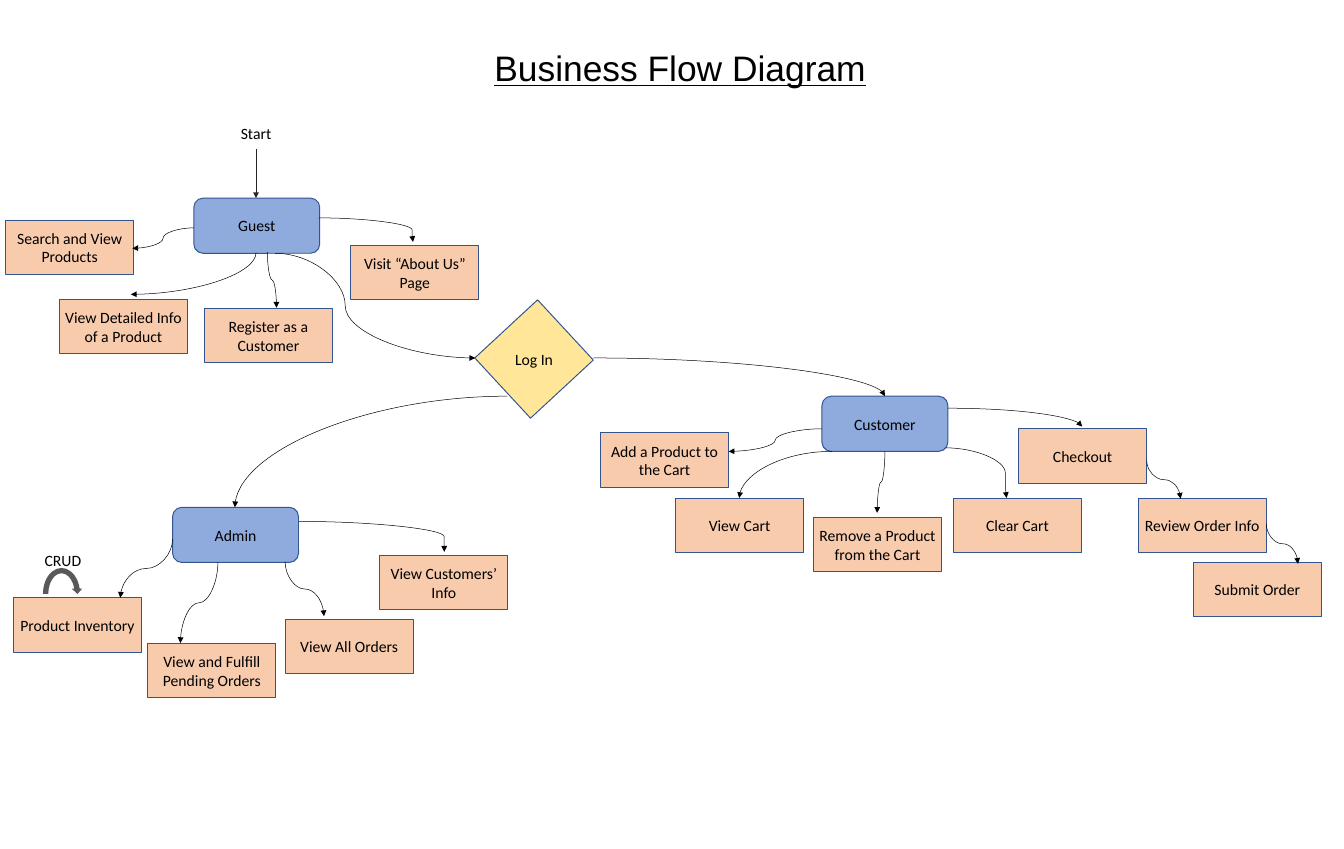
from lxml.etree import SubElement
from pptx import Presentation
from pptx.dml.color import RGBColor
from pptx.enum.shapes import MSO_CONNECTOR, MSO_SHAPE
from pptx.enum.text import MSO_ANCHOR, MSO_AUTO_SIZE, PP_ALIGN
from pptx.oxml.ns import qn
from pptx.util import Inches, Pt

COLS, ROWS = 19, 12
UNIT = Inches(1)

BLUE = RGBColor(0x8F, 0xAA, 0xDC)
PEACH = RGBColor(0xF8, 0xCB, 0xAD)
YELLOW = RGBColor(0xFF, 0xE6, 0x99)
EDGE = RGBColor(0x32, 0x54, 0x91)
GREY = RGBColor(0x59, 0x59, 0x59)
DARK = RGBColor(0x26, 0x26, 0x26)
BLACK = RGBColor(0, 0, 0)

ROLES = [
    ("Guest", 2.74, 2.8),
    ("Admin", 2.44, 7.17),
    ("Customer", 11.62, 5.6),
]
TASKS = [
    ("Search and View Products", 0.08, 3.11),
    ("View Detailed Info of a Product", 0.84, 4.23),
    ("Register as a Customer", 2.89, 4.36),
    ("Visit “About Us”\vPage", 4.96, 3.47),
    ("Product Inventory", 0.19, 8.45),
    ("View and Fulfill Pending Orders", 2.09, 9.09),
    ("View All Orders", 4.03, 8.75),
    ("View Customers’\vInfo", 5.37, 7.85),
    ("Add a Product to\vthe Cart", 8.49, 6.12),
    ("View Cart", 9.55, 7.04),
    ("Remove a Product from the Cart", 11.5, 7.31),
    ("Clear Cart", 13.48, 7.04),
    ("Checkout", 14.4, 6.06),
    ("Review Order Info", 16.09, 7.04),
    ("Submit Order", 16.87, 7.95),
]
LABELS = [("Log In", 6.48, 4.89), ("CRUD", -0.18, 7.73), ("Start", 2.55, 1.7)]

SIDE_WAVES = [
    (2.74, 3.22, 1.87, 3.51, 0.5),
    (4.51, 3.08, 5.84, 3.42, 0.99),
    (3.89, 3.58, 6.72, 5.06, 0.35),
    (4.23, 7.37, 6.28, 7.8, 1),
    (11.62, 6.06, 10.3, 6.38, 0.5),
    (13.37, 6.33, 14.23, 7.04, 0.98),
]
DOWN_WAVES = [
    (3.78, 3.56, 3.91, 4.35, 0.5),
    (2.44, 7.62, 1.7, 8.45, 0.5),
    (3.08, 7.95, 2.55, 9.09, 0.5),
    (4.03, 7.94, 4.58, 8.71, 0.5),
    (12.51, 6.38, 12.4, 7.25, 0.5),
    (17.9, 7.4, 18.35, 7.97, 0.5),
    (16.21, 6.51, 16.69, 7.05, 0.5),
]
SIDE_BENDS = [
    (7.17, 5.6, 3.32, 7.17),
    (8.39, 5.06, 12.51, 5.6),
    (11.76, 6.38, 10.45, 7.04),
    (13.4, 5.77, 15.3, 6.03),
]
DOWN_BENDS = [(3.62, 3.57, 1.85, 4.16)]


def grid(*cells):
    return [round(cell * UNIT) for cell in cells]


def write(frame, text, font="Calibri", size=16):
    frame.text = text
    frame.word_wrap = True
    frame.auto_size = MSO_AUTO_SIZE.NONE
    frame.vertical_anchor = MSO_ANCHOR.MIDDLE
    frame.margin_left = frame.margin_right = Inches(0.02)
    frame.margin_top = frame.margin_bottom = 0
    for para in frame.paragraphs:
        para.alignment = PP_ALIGN.CENTER
        for run in para.runs:
            run.font.name = font
            run.font.size = Pt(size)
            run.font.color.rgb = BLACK


def block(slide, kind, fill, left, top, wide, high, edge=EDGE):
    shape = slide.shapes.add_shape(kind, *grid(left, top, wide, high))
    shape.shadow.inherit = False
    shape.fill.solid()
    shape.fill.fore_color.rgb = fill
    if edge is None:
        shape.line.fill.background()
    else:
        shape.line.color.rgb = edge
        shape.line.width = Pt(1)
    return shape


def label(slide, text, left, top):
    box = slide.shapes.add_textbox(*grid(left, top, 2.14, 0.37))
    write(box.text_frame, text)


def arrow(slide, kind, ends, color=BLACK):
    link = slide.shapes.add_connector(kind, *grid(*ends))
    link.line.color.rgb = color
    link.line.width = Pt(0.5)
    props = link.element.spPr
    SubElement(props.find(qn("a:ln")), qn("a:tailEnd"), type="triangle")
    SubElement(props, qn("a:effectLst"))
    return props


def turn(x1, y1, x2, y2, down):
    if not down:
        return ((x1, y1, x2, y2), 0) if x2 > x1 else ((x2, y2, x1, y1), 180)
    midx, midy = (x1 + x2) / 2, (y1 + y2) / 2
    sign = 1 if x2 > x1 else -1
    halfx, halfy = sign * (y2 - y1) / 2, abs(x2 - x1) / 2
    ends = (midx + halfx, midy - halfy, midx - halfx, midy + halfy)
    return ends, 270 if sign > 0 else 90


def curve(slide, x1, y1, x2, y2, bow=None, down=False):
    ends, angle = turn(x1, y1, x2, y2, down)
    props = arrow(slide, MSO_CONNECTOR.CURVE, ends)
    if angle:
        props.find(qn("a:xfrm")).set("rot", str(angle * 60000))
    geom = props.find(qn("a:prstGeom"))
    if bow is None:
        geom.set("prst", "curvedConnector2")
    else:
        SubElement(geom.find(qn("a:avLst")), qn("a:gd"),
                   name="adj1", fmla=f"val {round(bow * 100000)}")


def head(slide):
    title = slide.shapes.title
    title.left, title.top, title.width, title.height = grid(5.94, 0.6, 7.35, 0.71)
    write(title.text_frame, "Business Flow Diagram", "Arial", 36)
    title.text_frame.paragraphs[0].runs[0].font.underline = True


def main():
    deck = Presentation()
    deck.slide_width, deck.slide_height = grid(COLS, ROWS)
    slide = deck.slides.add_slide(deck.slide_layouts[5])
    head(slide)
    for text, left, top in ROLES:
        role = block(slide, MSO_SHAPE.ROUNDED_RECTANGLE, BLUE, left, top, 1.78, 0.78)
        write(role.text_frame, text)
    for text, left, top in TASKS:
        task = block(slide, MSO_SHAPE.RECTANGLE, PEACH, left, top, 1.81, 0.77)
        write(task.text_frame, text)
    login = block(slide, MSO_SHAPE.RECTANGLE, YELLOW, 6.97, 4.47, 1.16, 1.21)
    login.rotation = 47.2
    for ends in SIDE_WAVES + SIDE_BENDS:
        curve(slide, *ends)
    for ends in DOWN_WAVES + DOWN_BENDS:
        curve(slide, *ends, down=True)
    block(slide, MSO_SHAPE.CIRCULAR_ARROW, GREY, 0.57, 7.99, 0.6, 0.81, None)
    arrow(slide, MSO_CONNECTOR.STRAIGHT, (3.62, 2.11, 3.62, 2.8), DARK)
    for item in LABELS:
        label(slide, *item)
    deck.save("out.pptx")


main()
